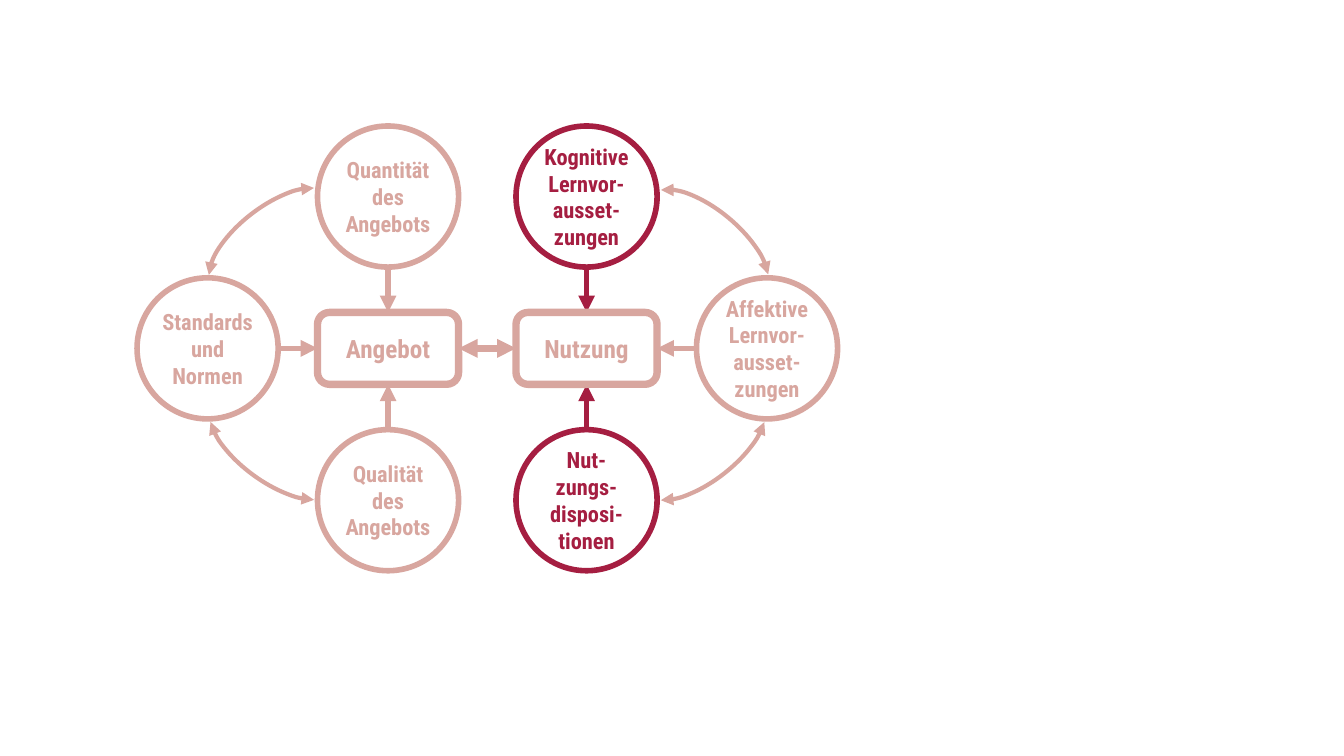
from dataclasses import dataclass

from lxml.etree import SubElement
from pptx import Presentation
from pptx.dml.color import RGBColor
from pptx.enum.shapes import MSO_CONNECTOR as Connector, MSO_SHAPE as Shape
from pptx.enum.text import MSO_ANCHOR as Anchor, PP_ALIGN as Align
from pptx.oxml.ns import qn
from pptx.util import Pt


@dataclass(frozen=True)
class Theme:
    """Colours, font, type sizes and line widths."""
    muted: RGBColor = RGBColor(0xD8, 0xA6, 0x9F)
    accent: RGBColor = RGBColor(0xA5, 0x1E, 0x41)
    font: str = "Roboto Condensed"
    factor_size: float = 16
    hub_size: float = 18
    factor_line: float = 4
    hub_line: float = 5.25
    exchange_line: float = 4.5
    arc_line: float = 3


@dataclass(frozen=True)
class Box:
    """A rectangle in points."""
    left: float
    top: float
    width: float
    height: float


@dataclass(frozen=True)
class Half:
    """Wording and look of one half; direction points from its hub outwards.

    Each arc is (horizontal offset from hub, vertical offset, rotation, start).
    """
    hub: str
    upper: str
    lower: str
    side: str
    direction: int
    factor_color: RGBColor
    arcs: tuple


THEME = Theme()
CIRCLE = 100.8
HUB_HEIGHT = 51.4
ARC_WIDTH, ARC_HEIGHT = 106.6, 47.5
ARC_START_UPPER, ARC_START_LOWER, ARC_END = 113.47, 117.27, 208.16


def add_heads(line, both):
    """Put a triangle on the end of a line, and on its start if both."""
    for tag in ("a:headEnd", "a:tailEnd") if both else ("a:tailEnd",):
        SubElement(line._get_or_add_ln(), qn(tag), type="triangle")


def add_arrow(page, start, end, color, width, both=False):
    """Draw a straight arrow between two points."""
    arrow = page.shapes.add_connector(
        Connector.STRAIGHT, *(Pt(value) for value in (*start, *end)))
    arrow.line.color.rgb = color
    arrow.line.width = Pt(width)
    add_heads(arrow.line, both)
    SubElement(arrow._element.spPr, qn("a:effectLst"))


def add_outline(page, kind, center, width, height, color, line_width):
    """Draw an unfilled shape around a centre."""
    x, y = center
    shape = page.shapes.add_shape(
        kind, Pt(x - width / 2), Pt(y - height / 2), Pt(width), Pt(height))
    shape.shadow.inherit = False
    shape.fill.background()
    shape.line.color.rgb = color
    shape.line.width = Pt(line_width)
    return shape


def write_label(shape, text, size, color, side_inset):
    """Write bold centred text in a shape."""
    frame = shape.text_frame
    frame.word_wrap = True
    frame.vertical_anchor = Anchor.MIDDLE
    frame.margin_left = frame.margin_right = Pt(side_inset)
    frame.margin_top = frame.margin_bottom = Pt(3.6)
    para = frame.paragraphs[0]
    para.text = text
    para.alignment = Align.CENTER
    para.font.name = THEME.font
    para.font.size = Pt(size)
    para.font.bold = True
    para.font.color.rgb = color


def add_factor(page, center, text, color, side_inset):
    """Draw a labelled circle."""
    circle = add_outline(page, Shape.OVAL, center, CIRCLE, CIRCLE, color,
                         THEME.factor_line)
    write_label(circle, text, THEME.factor_size, color, side_inset)


def add_arc(page, center, rotation, start):
    """Draw a curved double arrow."""
    arc = add_outline(page, Shape.ARC, center, ARC_WIDTH, ARC_HEIGHT,
                      THEME.muted, THEME.arc_line)
    arc.rotation = rotation
    arc.adjustments[0], arc.adjustments[1] = start, ARC_END
    add_heads(arc.line, both=True)


def add_half(page, box, half):
    """Draw a hub with the three factors acting on it inside the box."""
    radius = CIRCLE / 2
    reach = (box.width - CIRCLE) / 2 * half.direction
    x = box.left + box.width / 2 - reach
    side_x = x + 2 * reach
    y = box.top + box.height / 2
    rise = (box.height - CIRCLE) / 2

    for text, sign in ((half.upper, -1), (half.lower, 1)):
        add_factor(page, (x, y + sign * rise), text, half.factor_color, 2.9)
        add_arrow(page, (x, y + sign * (rise - radius)),
                  (x, y + sign * HUB_HEIGHT / 2),
                  half.factor_color, THEME.factor_line)

    hub = add_outline(page, Shape.ROUNDED_RECTANGLE, (x, y), CIRCLE,
                      HUB_HEIGHT, THEME.muted, THEME.hub_line)
    write_label(hub, half.hub, THEME.hub_size, THEME.muted, 7.2)

    add_factor(page, (side_x, y), half.side, THEME.muted, 0)
    add_arrow(page, (side_x - half.direction * radius, y),
              (x + half.direction * radius, y),
              THEME.muted, THEME.factor_line)
    for across, down, rotation, start in half.arcs:
        add_arc(page, (x + across, y + down), rotation, start)


def add_model(page, box):
    """Draw both halves of the model and the exchange between their hubs."""
    half_width = 229.7
    supply = Half(
        "Angebot", "Quantität des Angebots", "Qualität des Angebots",
        "Standards und Normen", -1, THEME.muted,
        ((-83.5, -76.9, 322.1, ARC_START_UPPER),
         (-82.1, 71.4, 216, ARC_START_LOWER)))
    use = Half(
        "Nutzung", "Kognitive Lernvor- ausset-zungen",
        "Nut- zungs-disposi-tionen",
        "Affektive Lernvor- ausset-zungen", 1, THEME.accent,
        ((86.4, -74.8, 39.9, ARC_START_UPPER),
         (83.5, 70.7, 142, ARC_START_LOWER)))
    use_left = box.left + box.width - half_width
    add_half(page, Box(box.left, box.top, half_width, box.height), supply)
    add_half(page, Box(use_left, box.top, half_width, box.height), use)
    y = box.top + box.height / 2
    add_arrow(page, (box.left + half_width, y), (use_left, y),
              THEME.muted, THEME.exchange_line, both=True)


deck = Presentation()
deck.slide_width, deck.slide_height = Pt(960), Pt(540)
blank_layout = deck.slide_layouts[6]
add_model(deck.slides.add_slide(blank_layout), Box(97.9, 90, 500.4, 317.7))
deck.save("out.pptx")
